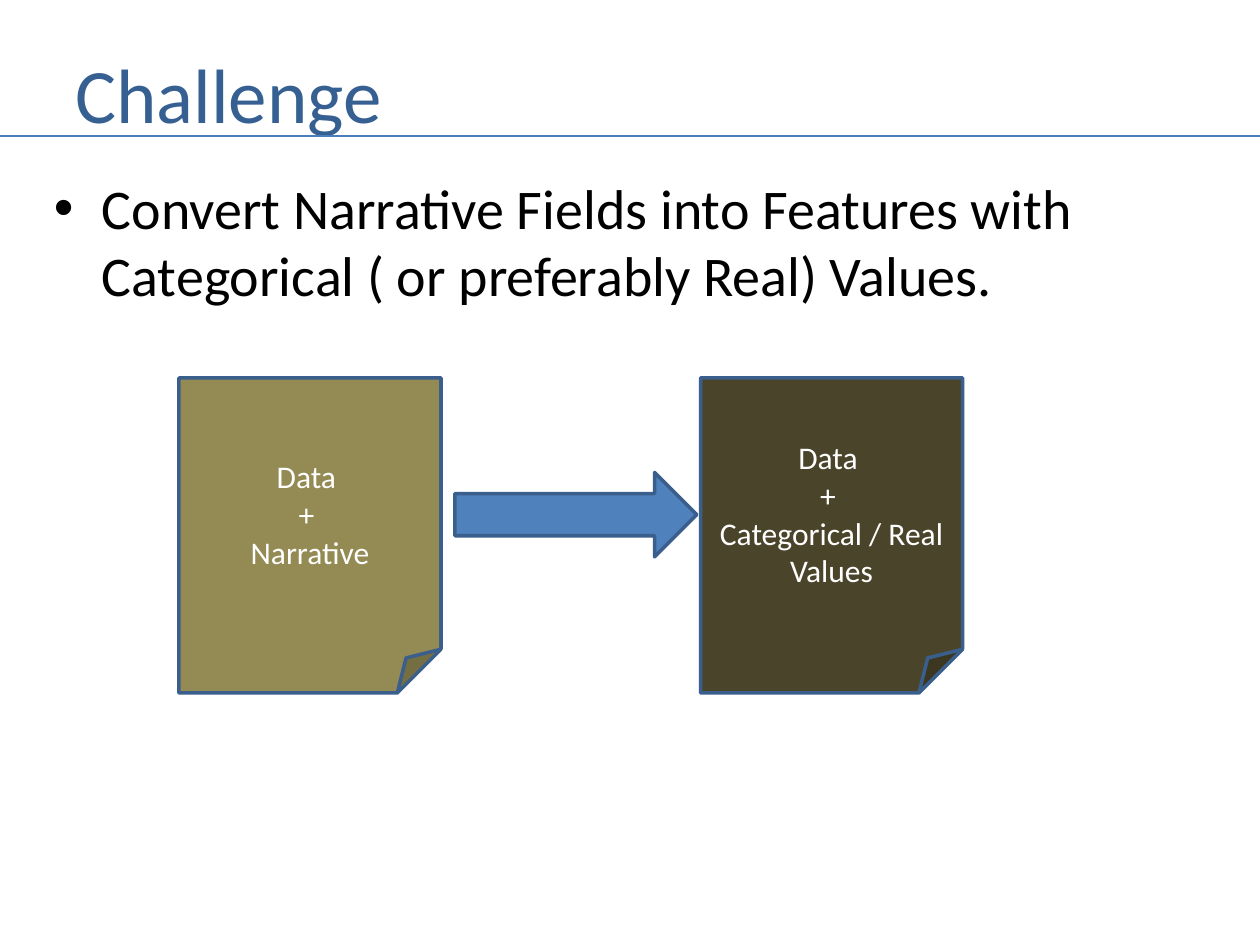
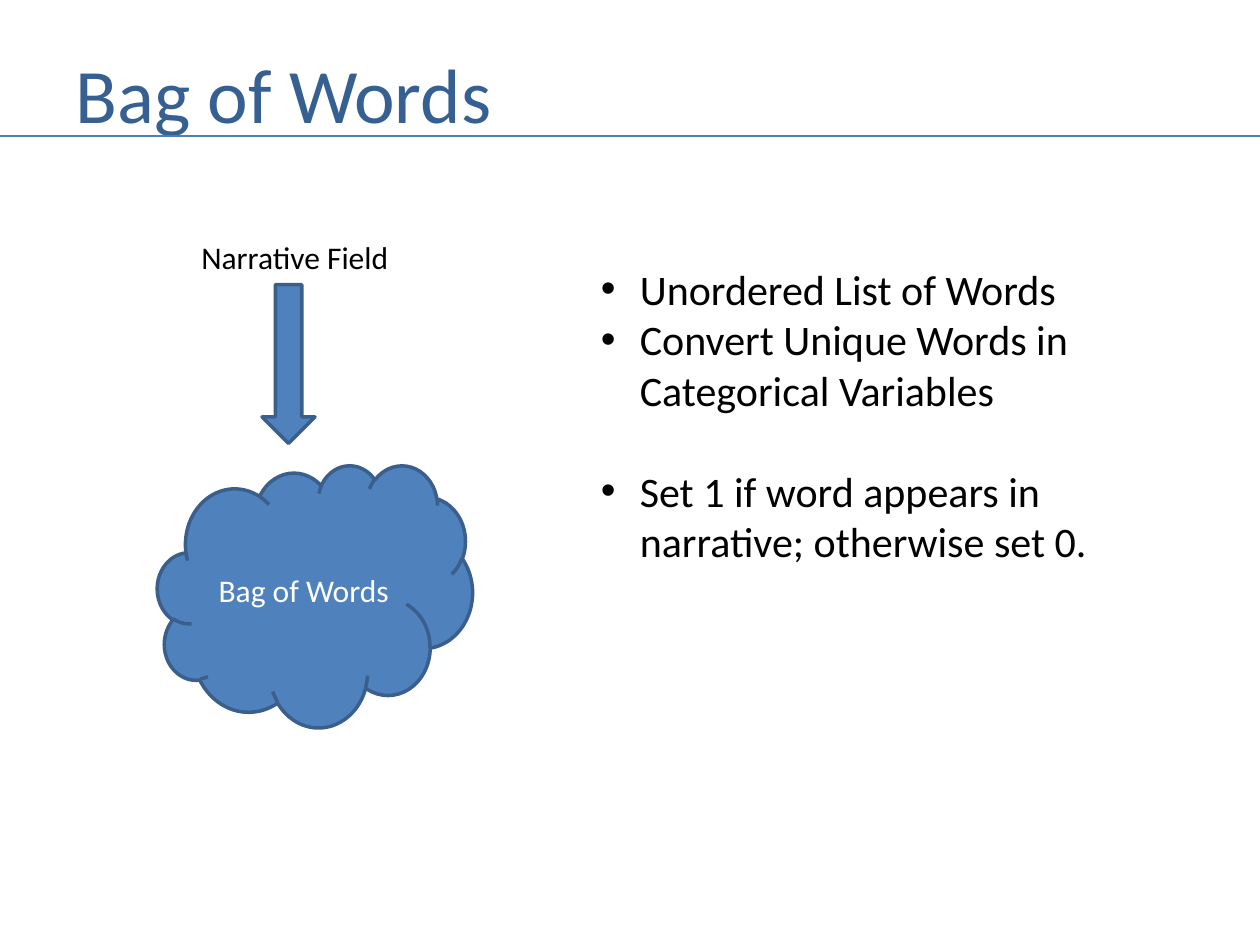
from pptx import Presentation, util as u
from pptx.dml.color import RGBColor
from pptx.enum import shapes, text
from pptx.oxml import ns
from lxml import etree

FONT = "Calibri"
BLACK, WHITE = "000000", "FFFFFF"
TITLE, RULE = "376092", "4B7EBC"
BLUE, EDGE = "4F81BD", "3A5F8C"
TAN, BROWN = "948A54", "4A452A"
KIND = shapes.MSO_SHAPE
MID = text.MSO_ANCHOR.MIDDLE


def paint(part, color):
    """Give a fill or font a solid colour."""
    if hasattr(part, "solid"):
        part.solid()
        part.fore_color.rgb = RGBColor.from_string(color)
    else:
        part.color.rgb = RGBColor.from_string(color)


def write(frame, lines, size, color, align=text.PP_ALIGN.LEFT):
    """Fill a frame with one paragraph per line; newlines become breaks."""
    for i, line in enumerate(lines):
        para = frame.add_paragraph() if i else frame.paragraphs[0]
        para.alignment = align
        for j, piece in enumerate(line.split("\n")):
            if j:
                para.add_line_break()
            run = para.add_run()
            run.text = piece
            run.font.name, run.font.size = FONT, u.Pt(size)
            paint(run.font, color)


def label(slide, box, lines, size, color=BLACK, wrap=True):
    """Add a text box and return its frame."""
    frame = slide.shapes.add_textbox(*map(u.Inches, box)).text_frame
    frame.word_wrap = wrap
    write(frame, lines, size, color)
    return frame


def bullet(frame, indent):
    """Put a hanging bullet on each paragraph."""
    for para in frame.paragraphs:
        props = para._p.get_or_add_pPr()
        props.set("marL", str(u.Inches(indent)))
        props.set("indent", str(-u.Inches(indent)))
        font = etree.SubElement(props, ns.qn("a:buFont"))
        font.set("typeface", "Arial")
        etree.SubElement(props, ns.qn("a:buChar")).set("char", "\u2022")


def block(slide, kind, box, fill=BLUE, lines=()):
    """Add an outlined preset shape with centred white text."""
    shape = slide.shapes.add_shape(kind, *map(u.Inches, box))
    shape.shadow.inherit = False
    paint(shape.fill, fill)
    paint(shape.line.fill, EDGE)
    shape.line.width = u.Pt(2)
    shape.text_frame.vertical_anchor = MID
    write(shape.text_frame, lines, 18, WHITE, text.PP_ALIGN.CENTER)


def page(deck, title):
    """Add a slide with its title and the rule beneath."""
    slide = deck.slides.add_slide(deck.slide_layouts[6])
    head = label(slide, (0.5, 0.3, 8.58, 0.87), [title], 44, TITLE)
    head.vertical_anchor = MID
    y = u.Inches(1.08)
    rule = slide.shapes.add_connector(
        shapes.MSO_CONNECTOR.STRAIGHT, 0, y, deck.slide_width, y)
    paint(rule.line.fill, RULE)
    rule.line.width = u.Pt(1.5)
    etree.SubElement(rule._element.spPr, ns.qn("a:effectLst"))
    return slide


def challenge(deck):
    """Build the slide that turns narrative into values."""
    slide = page(deck, "Challenge ")
    goal = label(slide, (0.33, 1.33, 9, 4.95), [
        "Convert Narrative Fields into Features with "
        "Categorical ( or preferably Real) Values."], 32)
    bullet(goal, 0.38)
    notes = (
        (1.42, TAN, ["Data ", "+ ", "Narrative"]),
        (5.56, BROWN, ["Data ", "+ \nCategorical / Real\nValues"]),
    )
    for x, fill, lines in notes:
        block(slide, KIND.FOLDED_CORNER, (x, 3, 2.08, 2.5), fill, lines)
    block(slide, KIND.RIGHT_ARROW, (3.61, 3.75, 1.92, 0.67))


def words(deck):
    """Build the slide that explains the bag of words."""
    slide = page(deck, "Bag of Words ")
    block(slide, KIND.CLOUD, (1.25, 3.69, 2.5, 2.08), lines=["Bag of Words"])
    label(slide, (1.5, 1.84, 1.7, 0.4), ["Narrative Field"], 18, wrap=False)
    block(slide, KIND.DOWN_ARROW, (2.08, 2.26, 0.42, 1.26))
    steps = label(slide, (4.67, 2.04, 4.83, 2.52), [
        "Unordered List of Words",
        "Convert Unique Words in Categorical Variables",
        "Set 1 if word appears in narrative; otherwise set 0."], 24)
    steps.paragraphs[-1].space_before = u.Pt(29)
    bullet(steps, 0.31)


def main():
    """Build and save the deck."""
    deck = Presentation()
    deck.slide_width, deck.slide_height = u.Inches(10), u.Inches(7.5)
    challenge(deck)
    words(deck)
    deck.save("out.pptx")


main()
